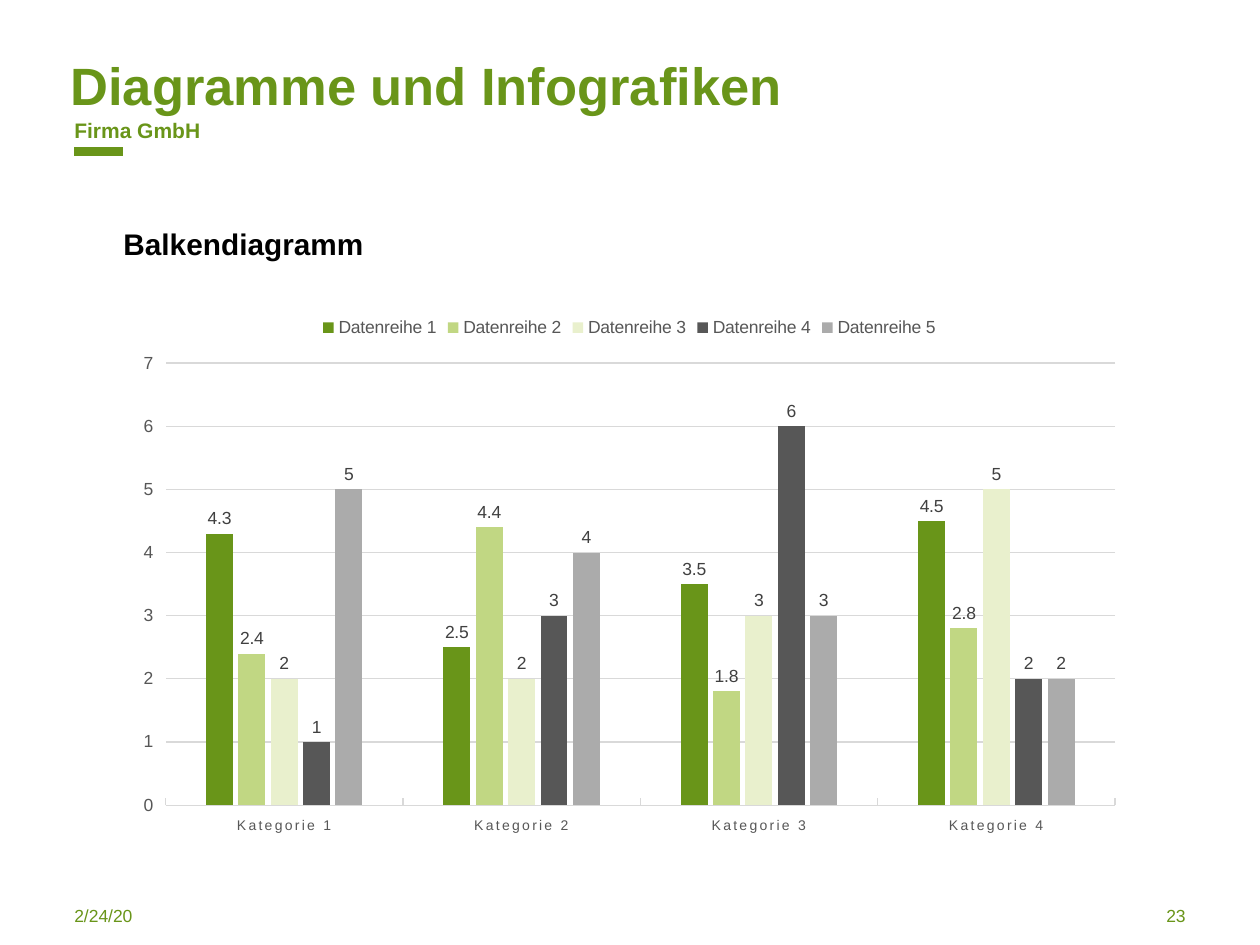
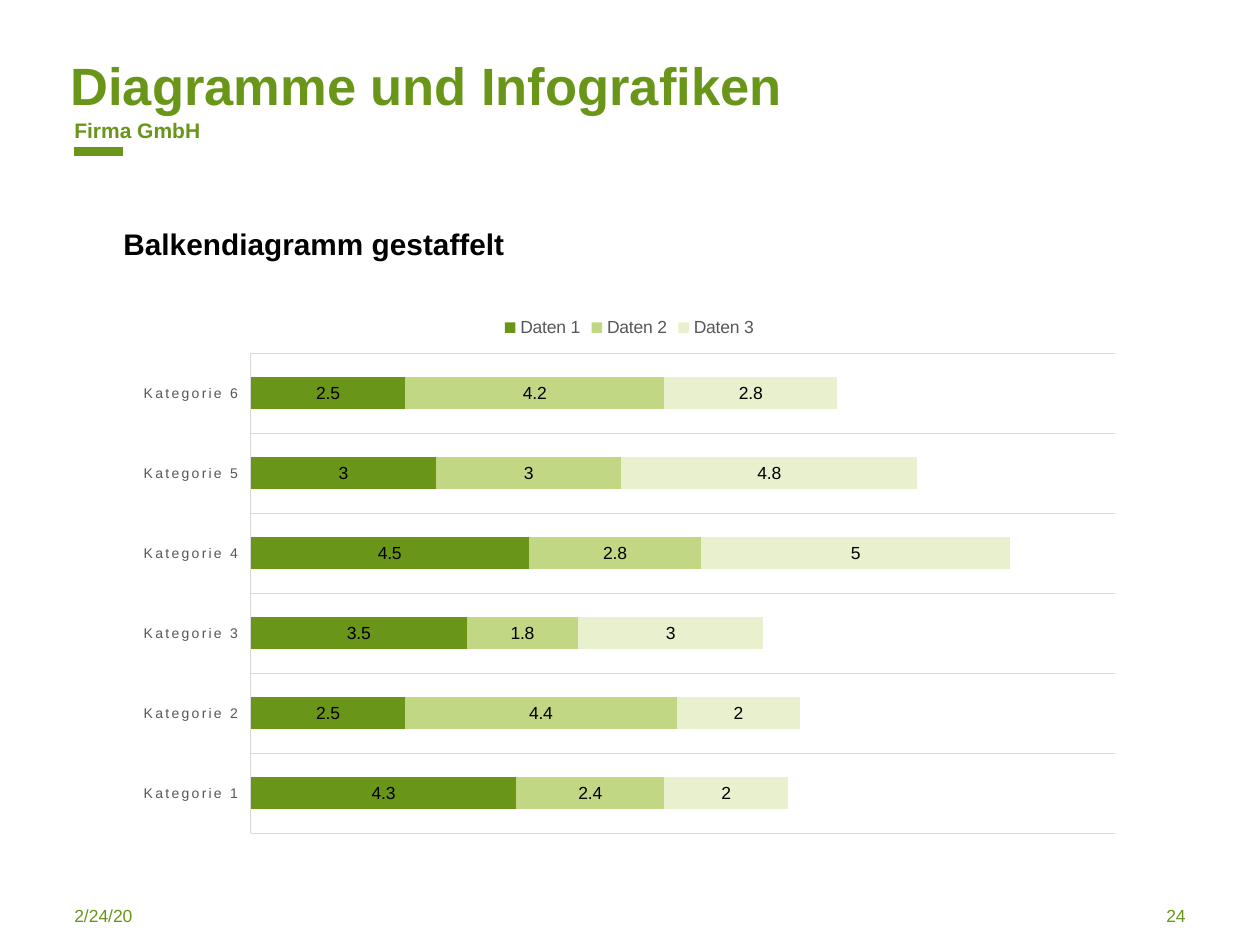
from pptx import Presentation
from pptx.chart.data import CategoryChartData
from pptx.dml.color import RGBColor
from pptx.enum.chart import XL_CHART_TYPE as CT, XL_LABEL_POSITION as LP
from pptx.enum.chart import XL_LEGEND_POSITION, XL_TICK_LABEL_POSITION as TLP, XL_TICK_MARK as TM
from pptx.enum.shapes import MSO_CONNECTOR
from pptx.enum.text import MSO_ANCHOR, PP_ALIGN
from pptx.oxml.ns import qn
from pptx.util import Inches, Pt
from lxml import etree

GREEN, LIME, PALE, GREY, SILVER = "699519", "C1D783", "E9F0CD", "575757", "ABABAB"
BLACK, DARK, RULE = "000000", "404040", "D9D9D9"
SERIES_COLORS = [GREEN, LIME, PALE, GREY, SILVER]


def rgb(color):
    return RGBColor.from_string(color)


class Deck:
    font = "Arial"

    def __init__(self):
        self.prs = Presentation()
        self.prs.slide_width, self.prs.slide_height = Inches(10), Inches(7.5)
        self.s = None

    def style(self, font, size, color, bold=False):
        for name, value in {"name": self.font, "size": Pt(size), "bold": bold}.items():
            setattr(font, name, value)
        font.color.rgb = rgb(color)

    def line(self, fmt, color, width=0.75):
        fmt.color.rgb = rgb(color)
        fmt.width = Pt(width)

    def fill_text(self, sp, text, size, color=GREEN, bold=False,
                  align=PP_ALIGN.LEFT, anchor=MSO_ANCHOR.TOP):
        tf = sp.text_frame
        frame = {"word_wrap": True, "vertical_anchor": anchor, "margin_left": 0,
                 "margin_right": 0, "margin_top": 0, "margin_bottom": 0}
        for name, value in frame.items():
            setattr(tf, name, value)
        p = tf.paragraphs[0]
        p.alignment = align
        r = p.add_run()
        r.text = text
        self.style(r.font, size, color, bold)

    def text(self, box, text, size, **fmt):
        sp = self.s.shapes.add_textbox(*map(Inches, box))
        self.fill_text(sp, text, size, **fmt)

    def title(self, text):
        sp = self.s.shapes.title
        box = {"left": 0.56, "top": 0.42, "width": 7.38, "height": 0.5}
        for name, value in box.items():
            setattr(sp, name, Inches(value))
        self.fill_text(sp, text, 30, bold=True)

    def accent(self):
        sp = self.s.shapes.add_connector(
            MSO_CONNECTOR.STRAIGHT, Inches(0.59), Inches(1.2), Inches(0.98), Inches(1.2))
        self.line(sp.line, GREEN, 5)
        etree.SubElement(sp._element.spPr, qn("a:effectLst"))

    def slide(self, subtitle, number):
        self.s = self.prs.slides.add_slide(self.prs.slide_layouts[5])
        self.text((0.59, 0.93, 4.41, 0.2), "Firma GmbH", 12, bold=True,
                  anchor=MSO_ANCHOR.BOTTOM)
        self.accent()
        self.title("Diagramme und Infografiken")
        self.text((0.98, 1.79, 8.03, 0.29), subtitle, 17, color=BLACK, bold=True)
        self.text((0.59, 7.18, 2.24, 0.25), "2/24/20", 10)
        self.text((7.17, 7.18, 2.24, 0.25), str(number), 10, align=PP_ALIGN.RIGHT)

    def chart(self, kind, prefix, rows, gap, overlap, label_pos, label_color):
        data = CategoryChartData(number_format="General")
        data.categories = [f"Kategorie {i + 1}" for i in range(len(rows[0]))]
        for i, row in enumerate(rows, 1):
            data.add_series(f"{prefix} {i}", row)
        box = map(Inches, (0.98, 2.41, 8.03, 4.29))
        chart = self.s.shapes.add_chart(kind, *box, data).chart
        chart.has_title = False
        self.style(chart.font, 10, BLACK)

        chart.has_legend = True
        chart.legend.position = XL_LEGEND_POSITION.TOP
        chart.legend.include_in_layout = False
        self.style(chart.legend.font, 10, GREY)

        plot = chart.plots[0]
        for name, value in {"gap_width": gap, "overlap": overlap,
                            "vary_by_categories": False}.items():
            setattr(plot, name, value)
        for series, color in zip(plot.series, SERIES_COLORS):
            series.format.fill.solid()
            series.format.fill.fore_color.rgb = rgb(color)
            labels = series.data_labels
            labels.show_value = True
            labels.position = label_pos
            self.style(labels.font, 10, label_color)
        return chart

    def axis(self, axis, size, tick=TM.NONE, grid=False):
        axis.major_tick_mark, axis.minor_tick_mark = tick, TM.NONE
        axis.tick_label_position = TLP.LOW
        self.style(axis.tick_labels.font, size, GREY)
        axis.has_major_gridlines = grid
        if grid:
            self.line(axis.major_gridlines.format.line, RULE)

    def category_axis(self, chart, **fmt):
        axis = chart.category_axis
        self.axis(axis, 8, **fmt)
        self.line(axis.format.line, RULE)
        for props in axis._element.iter(qn("a:defRPr")):
            props.set("spc", "120")

    def column_slide(self):
        self.slide("Balkendiagramm", 23)
        rows = [(4.3, 2.5, 3.5, 4.5), (2.4, 4.4, 1.8, 2.8), (2, 2, 3, 5),
                (1, 3, 6, 2), (5, 4, 3, 2)]
        chart = self.chart(CT.COLUMN_CLUSTERED, "Datenreihe", rows, 300, -20,
                           LP.OUTSIDE_END, DARK)
        self.category_axis(chart, tick=TM.INSIDE)
        axis = chart.value_axis
        self.axis(axis, 10, grid=True)
        axis.format.line.fill.background()
        axis.minimum_scale, axis.maximum_scale, axis.major_unit = 0, 7, 1

    def stacked_slide(self):
        self.slide("Balkendiagramm gestaffelt", 24)
        rows = [(4.3, 2.5, 3.5, 4.5, 3, 2.5), (2.4, 4.4, 1.8, 2.8, 3, 4.2),
                (2, 2, 3, 5, 4.8, 2.8)]
        chart = self.chart(CT.BAR_STACKED, "Daten", rows, 150, 100, LP.CENTER, BLACK)
        self.category_axis(chart, grid=True)
        axis = chart.value_axis
        axis.visible = False
        axis.has_major_gridlines = False
        axis.minimum_scale, axis.maximum_scale = 0, 14


def main():
    deck = Deck()
    deck.column_slide()
    deck.stacked_slide()
    deck.prs.save("out.pptx")


if __name__ == "__main__":
    main()
